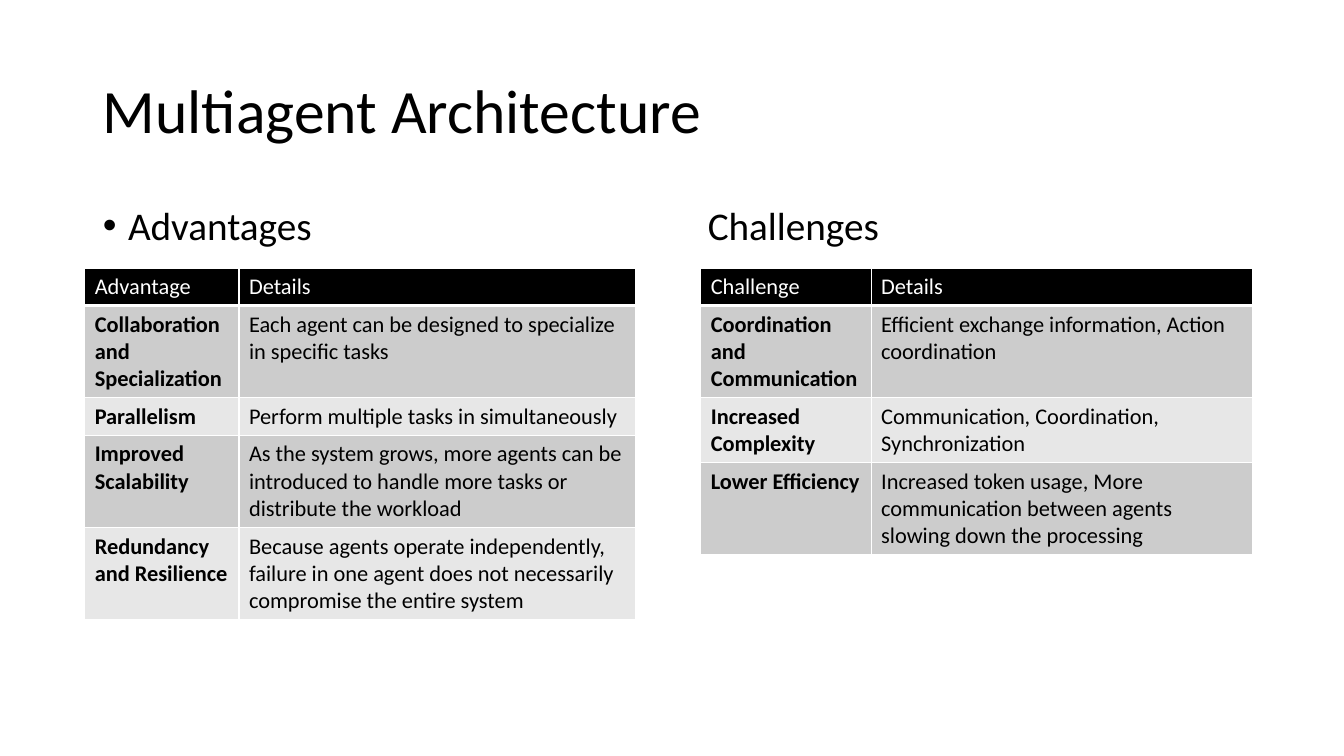
from lxml.etree import SubElement
from pptx import Presentation
from pptx.dml.color import RGBColor
from pptx.enum.text import MSO_ANCHOR, MSO_AUTO_SIZE, PP_ALIGN
from pptx.oxml.ns import qn
from pptx.util import Inches, Pt

COLORS = {"black": "000000", "white": "FFFFFF", "dark band": "CCCCCC", "light band": "E7E7E7"}


def add_text(paragraph, text, size, color="black", bold=False):
    run = paragraph.add_run()
    run.text = text
    run.font.name = "Calibri"
    run.font.size = Pt(size)
    run.font.bold = bold
    run.font.color.rgb = RGBColor.from_string(COLORS[color])


def add_borders(cell, bottom_width):
    properties = cell._tc.get_or_add_tcPr()
    for side, width in (("lnL", 1), ("lnR", 1), ("lnT", 1), ("lnB", bottom_width)):
        line = SubElement(properties, qn(f"a:{side}"), w=str(Pt(width)))
        fill = SubElement(line, qn("a:solidFill"))
        SubElement(fill, qn("a:srgbClr"), val=COLORS["white"])


presentation = Presentation()
presentation.slide_width = Inches(13.33)
presentation.slide_height = Inches(7.5)
# The title-and-content layout supplies both the title and the body
slide = presentation.slides.add_slide(presentation.slide_layouts[1])

# Title and column headings
title, body = slide.shapes.title, slide.placeholders[1]
for shape, text, top, height, size, anchor in (
    (title, "Multiagent Architecture", 0.4, 1.45, 44, MSO_ANCHOR.MIDDLE),
    (body, "Advantages\t\t\t\tChallenges", 2, 4.76, 28, MSO_ANCHOR.TOP),
):
    shape.left, shape.top = Inches(0.92), Inches(top)
    shape.width, shape.height = Inches(11.5), Inches(height)
    shape.text_frame.auto_size = MSO_AUTO_SIZE.NONE
    shape.text_frame.vertical_anchor = anchor
    paragraph = shape.text_frame.paragraphs[0]
    paragraph.alignment = PP_ALIGN.LEFT
    paragraph.line_spacing = 0.9
    add_text(paragraph, text, size)

# Bullet and tab spacing of the headings
headings = body.text_frame.paragraphs[0]
headings.space_before = Pt(10)
heading_properties = headings._p.get_or_add_pPr()
heading_properties.set("marL", str(Inches(0.25)))
heading_properties.set("indent", str(-Inches(0.25)))
heading_properties.set("defTabSz", str(Inches(1)))
SubElement(heading_properties, qn("a:buFont"), typeface="Arial")
SubElement(heading_properties, qn("a:buChar"), char="•")

# Tables: left edge, column widths, rows of (label, details, text lines)
tables = [
    (0.84, (1.53, 3.93), [
        ("Advantage", "Details", 1),
        ("Collaboration and Specialization",
         "Each agent can be designed to specialize in specific tasks", 3),
        ("Parallelism", "Perform multiple tasks in simultaneously", 1),
        ("Improved Scalability",
         "As the system grows, more agents can be introduced to handle more tasks "
         "or distribute the workload", 3),
        ("Redundancy and Resilience",
         "Because agents operate independently, failure in one agent does not "
         "necessarily compromise the entire system", 3),
    ]),
    (6.95, (1.69, 3.78), [
        ("Challenge", "Details", 1),
        ("Coordination and Communication",
         "Efficient exchange information, Action coordination", 3),
        ("Increased Complexity", "Communication, Coordination, Synchronization", 2),
        ("Lower Efficiency",
         "Increased token usage, More communication between agents slowing down "
         "the processing", 3),
    ]),
]
for left, widths, rows in tables:
    heights = [Inches(0.1 + 0.27 * lines) for _, _, lines in rows]
    table = slide.shapes.add_table(
        len(rows), 2, Inches(left), Inches(2.66), Inches(sum(widths)), sum(heights)
    ).table
    for column, width in zip(table.columns, widths):
        column.width = Inches(width)
    for row_index, (label, details, _) in enumerate(rows):
        table.rows[row_index].height = heights[row_index]
        is_header = row_index == 0
        band = "black" if is_header else ("light band", "dark band")[row_index % 2]
        for column_index, text in enumerate((label, details)):
            cell = table.cell(row_index, column_index)
            add_borders(cell, 3 if is_header else 1)
            cell.fill.solid()
            cell.fill.fore_color.rgb = RGBColor.from_string(COLORS[band])
            add_text(cell.text_frame.paragraphs[0], text, 16,
                     "white" if is_header else "black",
                     not is_header and column_index == 0)

presentation.save("out.pptx")
